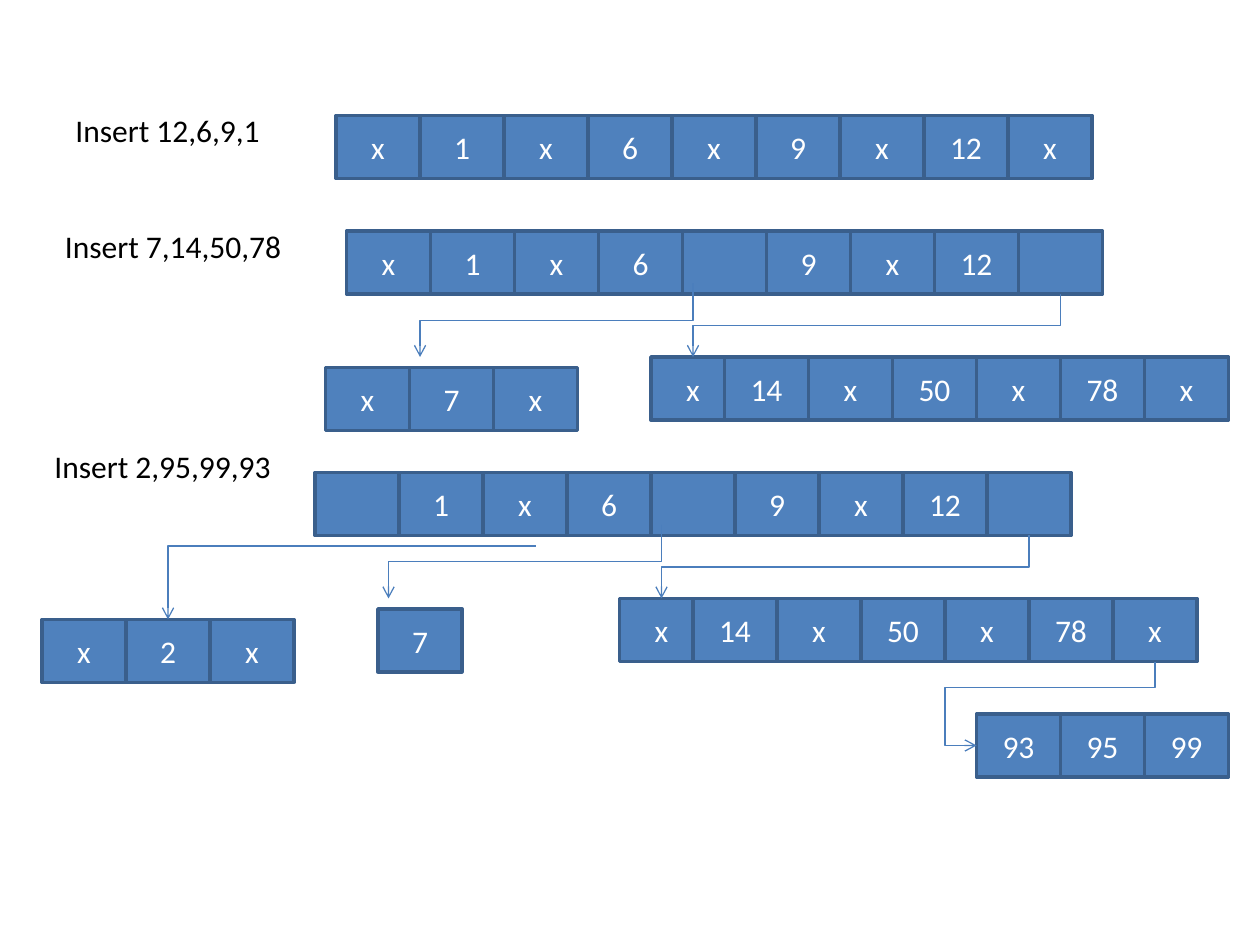
import pptx
import pptx.util
import pptx.dml.color
import pptx.enum.shapes
import pptx.enum.text
import pptx.oxml.ns
import lxml.etree

Pt = pptx.util.Pt
COLORS = {"cell": "4F81BD", "border": "3A5F8C", "arrow": "4B7EBC",
          "label": "000000", "value": "FFFFFF"}
CELL_WIDTH, CELL_HEIGHT = 48, 36


def rgb(name):
    return pptx.dml.color.RGBColor.from_string(COLORS[name])


def add_xml(parent, tag, **attributes):
    return lxml.etree.SubElement(parent, pptx.oxml.ns.qn(tag), **attributes)


class TreeSlide:
    """Draws B-tree nodes on one slide; all lengths are in points."""

    font_name, font_size = "Calibri", 18

    def __init__(self, presentation):
        self.slide = presentation.slides.add_slide(presentation.slide_layouts[6])
        self.target = self.slide.shapes

    def start_group(self):
        self.target = self.slide.shapes.add_group_shape().shapes

    def end_group(self):
        self.target = self.slide.shapes

    def set_text(self, frame, text, color):
        paragraph = frame.paragraphs[0]
        paragraph.text = text
        paragraph.font.name = self.font_name
        paragraph.font.size = Pt(self.font_size)
        paragraph.font.color.rgb = rgb(color)
        return paragraph

    def label(self, left, top, text):
        box = self.slide.shapes.add_textbox(Pt(left), Pt(top), Pt(156), Pt(30))
        box.text_frame.word_wrap = True
        box.text_frame.auto_size = pptx.enum.text.MSO_AUTO_SIZE.SHAPE_TO_FIT_TEXT
        self.set_text(box.text_frame, text, "label")

    def cell(self, left, top, text):
        shape = self.target.add_shape(
            pptx.enum.shapes.MSO_SHAPE.RECTANGLE,
            Pt(left), Pt(top), Pt(CELL_WIDTH), Pt(CELL_HEIGHT))
        shape.shadow.inherit = False
        shape.fill.solid()
        shape.fill.fore_color.rgb = rgb("cell")
        shape.line.color.rgb = rgb("border")
        shape.line.width = Pt(2)
        if text:
            shape.text_frame.vertical_anchor = pptx.enum.text.MSO_ANCHOR.MIDDLE
            paragraph = self.set_text(shape.text_frame, text, "value")
            paragraph.alignment = pptx.enum.text.PP_ALIGN.CENTER

    def node(self, left, top, values, first_step=CELL_WIDTH):
        """A row of cells; first_step is the offset of the second cell."""
        for index, value in enumerate(values):
            offset = first_step + (index - 1) * CELL_WIDTH if index else 0
            self.cell(left + offset, top, value)

    def arrow(self, start, end, preset="bentConnector3", adjustments=(),
              sideways=False):
        """An elbow to the lower left, leaving downwards or sideways."""
        across, down = start[0] - end[0], end[1] - start[1]
        center_x, center_y = (start[0] + end[0]) / 2, (start[1] + end[1]) / 2
        # The frame is stored before its rotation
        width, height = (across, down) if sideways else (down, across)
        left, top = center_x - width / 2, center_y - height / 2
        begin_y, end_y = top, top + height
        if sideways:
            begin_y, end_y = end_y, begin_y
        connector = self.target.add_connector(
            pptx.enum.shapes.MSO_CONNECTOR.ELBOW,
            Pt(left), Pt(begin_y), Pt(left + width), Pt(end_y))
        connector.line.color.rgb = rgb("arrow")
        connector.line.width = Pt(0.75)
        properties = connector.element.spPr
        properties.find(pptx.oxml.ns.qn("a:xfrm")).set(
            "rot", str((180 if sideways else 90) * 60000))
        geometry = properties.find(pptx.oxml.ns.qn("a:prstGeom"))
        geometry.set("prst", preset)
        guides = geometry.find(pptx.oxml.ns.qn("a:avLst"))
        for number, value in enumerate(adjustments, 1):
            add_xml(guides, "a:gd", name=f"adj{number}", fmla=f"val {value}")
        add_xml(properties.find(pptx.oxml.ns.qn("a:ln")), "a:tailEnd", type="arrow")
        add_xml(properties, "a:effectLst")


presentation = pptx.Presentation()
presentation.slide_width, presentation.slide_height = Pt(720), Pt(540)
tree = TreeSlide(presentation)

# First insertion: a single root
tree.label(36, 60, "Insert 12,6,9,1")
tree.start_group()
tree.node(192, 66, ["x", "1", "x", "6", "x", "9", "x", "12", "x"])

# Second insertion: two children
tree.label(30, 126, "Insert 7,14,50,78")
right_child = ["x", "14", "x", "50", "x", "78", "x"]
tree.start_group()
tree.node(198, 132, ["x", "1", "x", "6", "", "9", "x", "12", ""])
tree.node(186, 210, ["x", "7", "x"])
tree.node(372, 204, right_child, first_step=42)
tree.arrow((396, 162), (240, 204))
tree.arrow((606, 168), (396, 204))

# Third insertion: three children and a grandchild
tree.label(24, 252, "Insert 2,95,99,93")
tree.start_group()
tree.node(180, 270, ["", "1", "x", "6", "", "9", "x", "12", ""])
tree.node(216, 348, ["7"])
tree.node(354, 342, right_child, first_step=42)
tree.arrow((378, 300), (222, 342))
tree.arrow((588, 306), (378, 342))
tree.start_group()
tree.node(24, 354, ["x", "2", "x"])
tree.end_group()
tree.arrow((306, 312), (96, 354), "bentConnector2", sideways=True)
tree.start_group()
tree.node(558, 408, ["93", "95", "99"])
tree.end_group()
tree.arrow((660, 378), (558, 426), "bentConnector4", (31200, 117600))

presentation.save("out.pptx")
